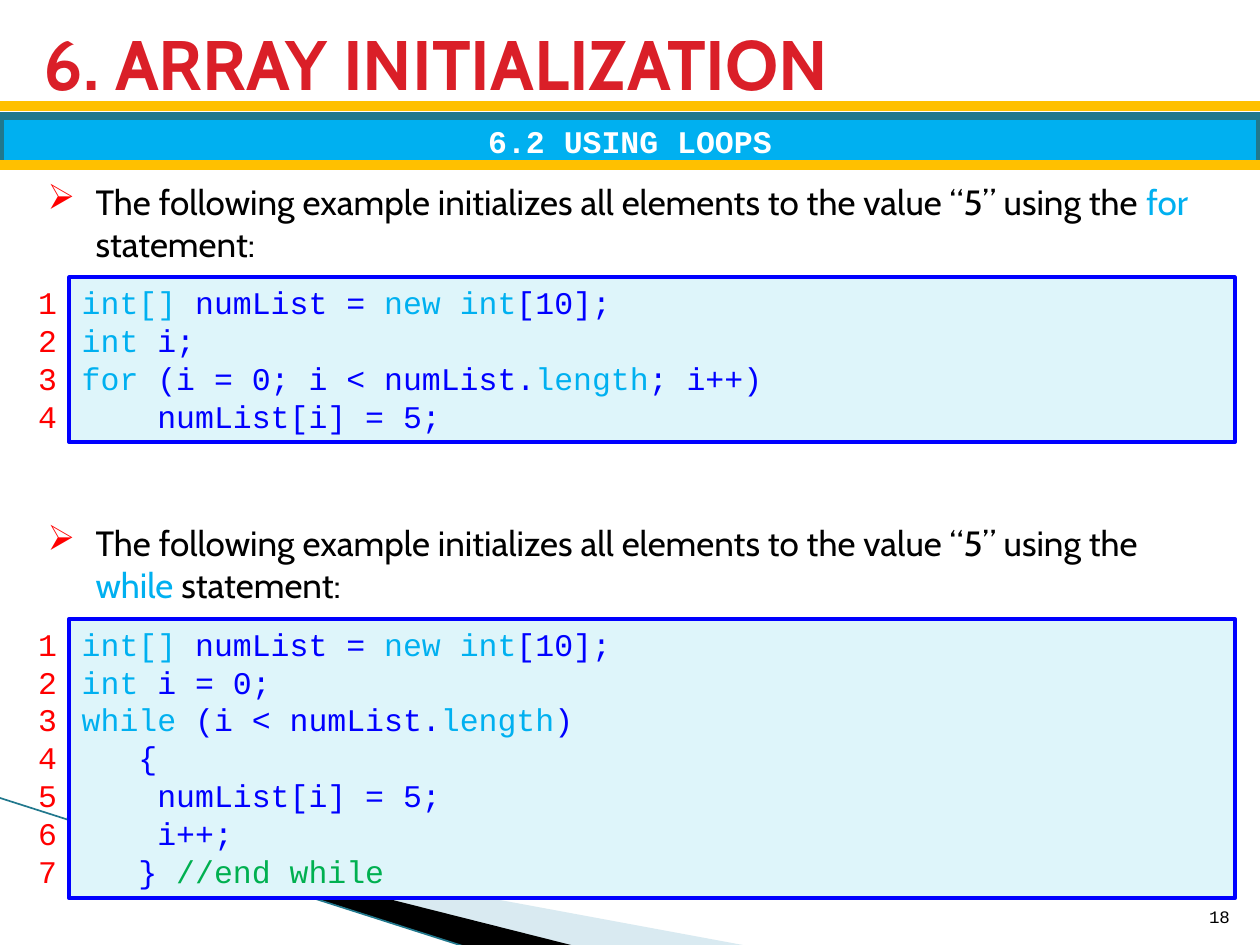
from lxml import etree
from pptx import Presentation
from pptx.dml.color import RGBColor
from pptx.enum.shapes import MSO_CONNECTOR, MSO_SHAPE
from pptx.enum.text import MSO_ANCHOR, PP_ALIGN
from pptx.oxml.ns import qn
from pptx.util import Inches, Pt

STRAIGHT = MSO_CONNECTOR.STRAIGHT
RECTANGLE = MSO_SHAPE.RECTANGLE
TOP, MIDDLE, BOTTOM = MSO_ANCHOR.TOP, MSO_ANCHOR.MIDDLE, MSO_ANCHOR.BOTTOM
LEFT, CENTER, RIGHT = PP_ALIGN.LEFT, PP_ALIGN.CENTER, PP_ALIGN.RIGHT

BLACK = RGBColor(0x00, 0x00, 0x00)
WHITE = RGBColor(0xFF, 0xFF, 0xFF)
RED = RGBColor(0xFF, 0x00, 0x00)
TITLE_RED = RGBColor(0xDA, 0x1F, 0x28)
GOLD = RGBColor(0xFF, 0xC0, 0x00)
SKY = RGBColor(0x00, 0xB0, 0xF0)
TEAL = RGBColor(0x21, 0x78, 0x8D)
PALE_BLUE = RGBColor(0xA0, 0xCB, 0xDC)
CODE_FILL = RGBColor(0xDE, 0xF5, 0xFA)
BLUE = RGBColor(0x00, 0x00, 0xFF)
GREEN = RGBColor(0x00, 0xB0, 0x50)

SANS = "Cabin"
MONO = "Courier New"

DECLARATION = [("int[] ", SKY), ("numList = ", BLUE), ("new int", SKY), ("[10];", BLUE)]
FOR_CODE = [
    DECLARATION,
    [("int ", SKY), ("i;", BLUE)],
    [("for", SKY), (" (i = 0; i < numList.", BLUE), ("length", SKY), ("; i++)", BLUE)],
    [("    numList[i] = 5;", BLUE)],
]
WHILE_CODE = [
    DECLARATION,
    [("int ", SKY), ("i = 0;", BLUE)],
    [("while", SKY), (" (i < numList.", BLUE), ("length", SKY), (")", BLUE)],
    [("   {", BLUE)],
    [("    numList[i] = 5;", BLUE)],
    [("    i++;", BLUE)],
    [("   } ", BLUE), ("//end while", GREEN)],
]


def write_lines(shape, lines, font, size, align=LEFT, anchor=TOP, bold=False):
    frame = shape.text_frame
    frame.word_wrap = True
    frame.vertical_anchor = anchor
    for index, line in enumerate(lines):
        para = frame.add_paragraph() if index else frame.paragraphs[0]
        para.alignment = align
        para.font.name = font
        para.font.size = Pt(size)
        para.font.bold = bold
        for text, color in line:
            span = para.add_run()
            span.text = text
            span.font.color.rgb = color


def add_text_box(page, left, top, width, height):
    return page.shapes.add_textbox(Inches(left), Inches(top), Inches(width), Inches(height))


def add_rectangle(page, left, top, width, height, fill, line, weight):
    box = page.shapes.add_shape(
        RECTANGLE, Inches(left), Inches(top), Inches(width), Inches(height))
    box.shadow.inherit = False
    box.fill.solid()
    box.fill.fore_color.rgb = fill
    box.line.color.rgb = line
    box.line.width = Pt(weight)
    return box


def add_rule(page, start, end, color, weight):
    rule = page.shapes.add_connector(STRAIGHT, *map(Inches, start + end))
    rule.line.color.rgb = color
    rule.line.width = Pt(weight)
    etree.SubElement(rule._element.spPr, qn("a:effectLst"))


def add_wedge(page, points, color, opacity=100):
    corners = [(Inches(x), Inches(y)) for x, y in points]
    builder = page.shapes.build_freeform(*corners[0])
    builder.add_line_segments(corners[1:], close=True)
    wedge = builder.convert_to_shape()
    wedge.shadow.inherit = False
    wedge.line.fill.background()
    wedge.fill.solid()
    wedge.fill.fore_color.rgb = color
    if opacity < 100:
        tone = wedge._element.spPr.find(qn("a:solidFill"))[0]
        etree.SubElement(tone, qn("a:alpha"), val=str(opacity * 1000))


def add_backdrop(page):
    add_wedge(page, [(0.55, 6.51), (5.95, 7.51), (4.56, 7.51), (0.55, 6.5)], PALE_BLUE, 40)
    add_wedge(page, [(0.53, 6.49), (4.57, 7.51), (3.72, 7.52), (0.54, 6.5)], BLACK)
    add_rule(page, (-0.01, 6.33), (3.71, 7.52), TEAL, 0.95)


def add_header(page, left, top, width):
    title = add_text_box(page, left + 0.25, top + 0.17, width - 0.53, 0.65)
    write_lines(title, [[("6. ARRAY INITIALIZATION", TITLE_RED)]], SANS, 40,
                anchor=MIDDLE, bold=True)
    band = add_rectangle(page, left, top + 0.92, width, 0.39, SKY, TEAL, 4.33)
    write_lines(band, [[("6.2 USING LOOPS", WHITE)]], MONO, 18, CENTER, MIDDLE, True)
    for y in (top + 0.84, top + 1.31):
        add_rule(page, (left, y), (left + width, y), GOLD, 6)


def add_bullet(box):
    for para in box.text_frame.paragraphs:
        props = para._p.get_or_add_pPr()
        props.set("marL", str(Inches(0.38)))
        props.set("indent", str(Inches(-0.38)))
        tone = etree.Element(qn("a:buClr"))
        etree.SubElement(tone, qn("a:srgbClr"), val=str(RED))
        mark = etree.Element(qn("a:buChar"), char="➢")
        props.insert(0, tone)
        props.insert(1, mark)


def add_example(page, left, top, width, keyword, code, code_height):
    intro = add_text_box(page, left + 0.08, top, width - 0.15, 0.77)
    sentence = [
        ("The following example initializes all elements to the value “5” using the ", BLACK),
        (keyword, SKY),
        (" statement:", BLACK),
    ]
    write_lines(intro, [sentence], SANS, 20)
    add_bullet(intro)

    code_top = top + 0.82
    listing = add_rectangle(page, left + 0.35, code_top, width - 0.35, code_height,
                            CODE_FILL, BLUE, 2.25)
    write_lines(listing, code, MONO, 18)
    numbers = add_text_box(page, left, code_top, 0.35, code_height)
    counts = [[(str(number), RED)] for number in range(1, len(code) + 1)]
    write_lines(numbers, counts, MONO, 18, RIGHT)


def add_page_number(page, left, top, size):
    box = add_text_box(page, left, top, size, size)
    write_lines(box, [[("18", BLACK)]], MONO, 10, RIGHT, BOTTOM)


def main():
    deck = Presentation()
    deck.slide_width = Inches(10)
    deck.slide_height = Inches(7.5)
    page = deck.slides.add_slide(deck.slide_layouts[6])
    add_backdrop(page)
    add_header(page, 0, 0, 10)
    add_page_number(page, 9.46, 7.01, 0.4)
    add_example(page, 0.2, 1.38, 9.6, "for", FOR_CODE, 1.31)
    add_example(page, 0.2, 4.09, 9.6, "while", WHILE_CODE, 2.22)
    deck.save("out.pptx")


if __name__ == "__main__":
    main()
